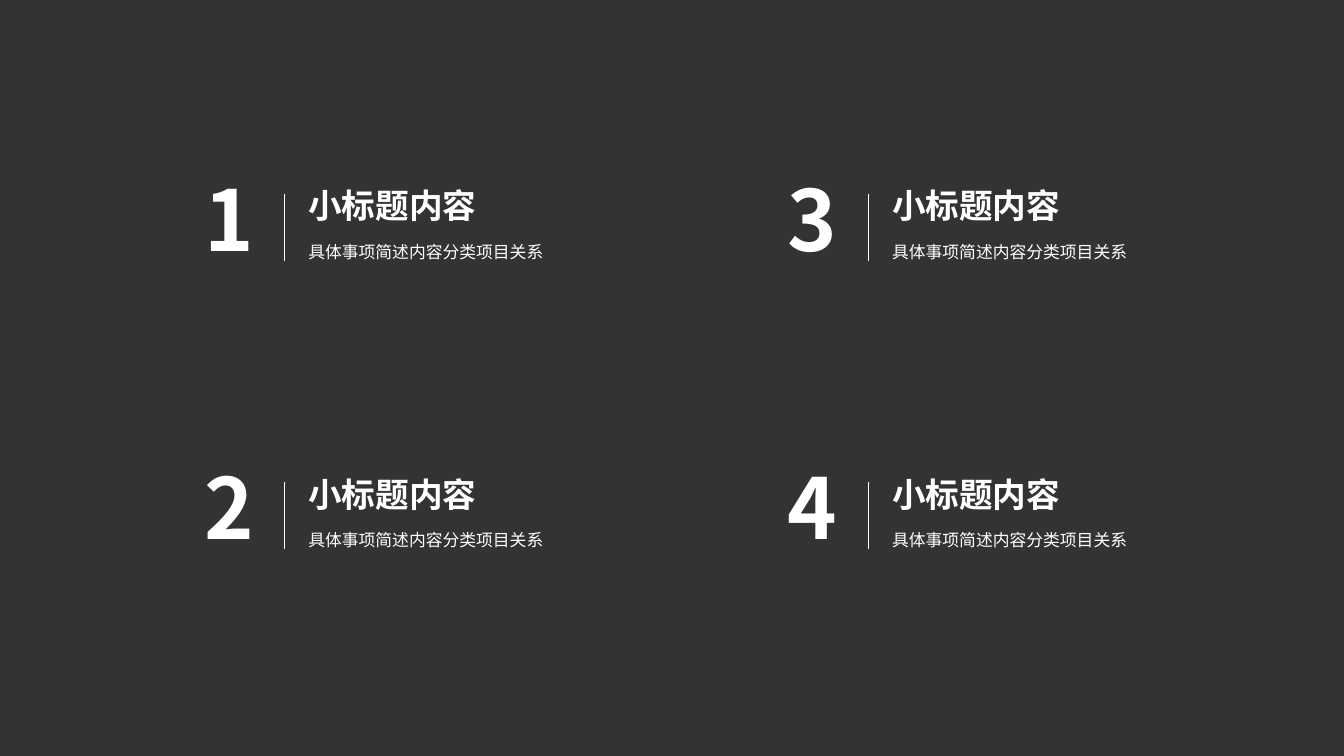
import pptx
import pptx.dml.color
import pptx.enum.shapes
import pptx.enum.text
import pptx.oxml
import pptx.oxml.ns
import pptx.util

Inches = pptx.util.Inches
Pt = pptx.util.Pt
Align = pptx.enum.text.PP_ALIGN

BACKGROUND = pptx.dml.color.RGBColor(0x33, 0x33, 0x34)
WHITE = pptx.dml.color.RGBColor(0xFF, 0xFF, 0xFF)
FONT = "Noto Sans CJK SC"
LINE_SPACING = 0.88
COLUMN_LEFT, COLUMN_PITCH = 1.54, 5.79
ROW_TOP, ROW_PITCH = 1.74, 2.86
ITEMS = [(str(number), "小标题内容", "具体事项简述内容分类项目关系") for number in range(1, 5)]


def add_text(shapes, text, left, top, width, height, size, bold=False, alignment=Align.LEFT):
    box = shapes.add_textbox(Inches(left), Inches(top), Inches(width), Inches(height))
    frame = box.text_frame
    frame.word_wrap = True
    frame.auto_size = pptx.enum.text.MSO_AUTO_SIZE.SHAPE_TO_FIT_TEXT
    paragraph = frame.paragraphs[0]
    paragraph.alignment = alignment
    paragraph.line_spacing = LINE_SPACING
    run = paragraph.add_run()
    run.text = text
    run.font.name = FONT
    run.font.size = Pt(size)
    run.font.bold = bold
    run.font.color.rgb = WHITE
    east_asian = pptx.oxml.parse_xml(
        f'<a:ea {pptx.oxml.ns.nsdecls("a")} typeface="{FONT}"/>')
    run.font._element.find(pptx.oxml.ns.qn("a:latin")).addnext(east_asian)


def add_divider(shapes, left, top, height):
    divider = shapes.add_connector(
        pptx.enum.shapes.MSO_CONNECTOR.STRAIGHT,
        Inches(left), Inches(top), Inches(left), Inches(top + height))
    divider.line.color.rgb = WHITE
    divider.line.width = Pt(0.5)
    divider._element.spPr.append(
        pptx.oxml.parse_xml(f'<a:effectLst {pptx.oxml.ns.nsdecls("a")}/>'))


def add_item(slide, left, top, number, heading, description):
    shapes = slide.shapes.add_group_shape().shapes
    add_text(shapes, number, left, top, 1.46, 1.11, 60, True, Align.CENTER)
    add_text(shapes, heading, left + 1.42, top + 0.1, 4.83, 0.5, 24, True)
    add_text(shapes, description, left + 1.42, top + 0.63, 4.83, 0.3, 12)
    add_divider(shapes, left + 1.28, top + 0.18, 0.67)


def main():
    """Build a slide with four numbered items in two columns."""
    presentation = pptx.Presentation()
    presentation.slide_width = Inches(13.33)
    presentation.slide_height = Inches(7.5)
    slide = presentation.slides.add_slide(presentation.slide_layouts.get_by_name("Blank"))
    slide.background.fill.solid()
    slide.background.fill.fore_color.rgb = BACKGROUND
    for index, item in enumerate(ITEMS):
        column, row = divmod(index, 2)
        add_item(slide, COLUMN_LEFT + column * COLUMN_PITCH, ROW_TOP + row * ROW_PITCH, *item)
    presentation.save("out.pptx")


if __name__ == "__main__":
    main()
